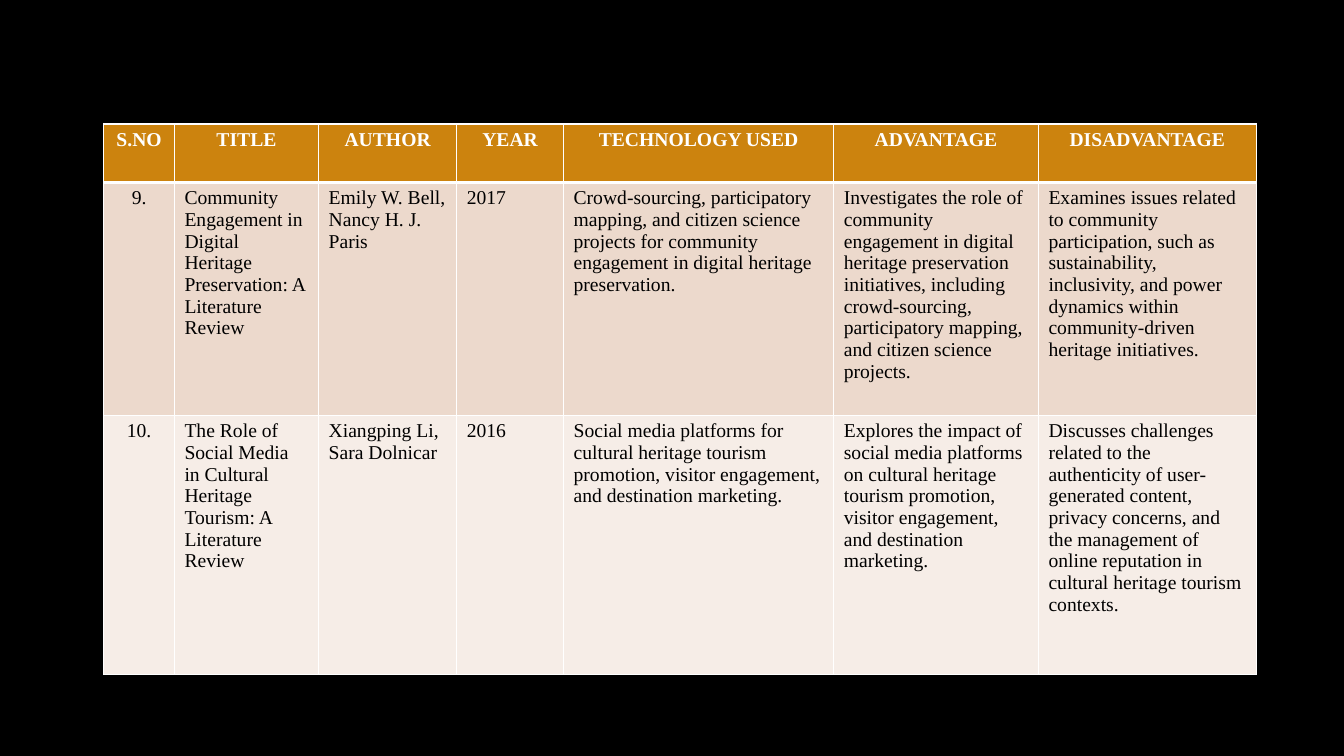
from lxml import etree
from pptx import Presentation
from pptx.dml.color import RGBColor
from pptx.enum.text import PP_ALIGN
from pptx.oxml.ns import qn
from pptx.util import Inches, Pt

CENTER, LEFT = PP_ALIGN.CENTER, PP_ALIGN.LEFT
BLACK = RGBColor(0x00, 0x00, 0x00)
WHITE = RGBColor(0xFF, 0xFF, 0xFF)
FILLS = [
    RGBColor(0xCC, 0x83, 0x0E),
    RGBColor(0xEC, 0xD9, 0xCC),
    RGBColor(0xF6, 0xED, 0xE7),
]
FONT = "Times New Roman"
COLS = [0.7, 1.43, 1.37, 1.06, 2.68, 2.03, 2.16]
ROWS = [0.58, 2.31, 2.57]
PAPERS = [
    ["S.NO", "TITLE", "AUTHOR", "YEAR", "TECHNOLOGY USED", "ADVANTAGE", "DISADVANTAGE"],
    [
        "9.",
        "Community Engagement in Digital Heritage Preservation: A Literature Review",
        "Emily W. Bell, Nancy H. J. Paris",
        "2017",
        "Crowd-sourcing, participatory mapping, and citizen science projects "
        "for community engagement in digital heritage preservation.",
        "Investigates the role of community engagement in digital heritage "
        "preservation initiatives, including crowd-sourcing, participatory "
        "mapping, and citizen science projects.",
        "Examines issues related to community participation, such as "
        "sustainability, inclusivity, and power dynamics within "
        "community-driven heritage initiatives.",
    ],
    [
        "10.",
        "The Role of Social Media in Cultural Heritage Tourism: A Literature Review",
        "Xiangping Li, Sara Dolnicar",
        "2016",
        "Social media platforms for cultural heritage tourism promotion, "
        "visitor engagement, and destination marketing.",
        "Explores the impact of social media platforms on cultural heritage "
        "tourism promotion, visitor engagement, and destination marketing.",
        "Discusses challenges related to the authenticity of user-generated "
        "content, privacy concerns, and the management of online reputation "
        "in cultural heritage tourism contexts.",
    ],
]


def add_edges(cell, row):
    """Draw white cell borders, thick between the header and the body."""
    widths = {"lnL": 1, "lnR": 1, "lnT": 3 if row == 1 else 1, "lnB": 3 if row == 0 else 1}
    props = cell._tc.get_or_add_tcPr()
    for i, (side, width) in enumerate(widths.items()):
        line = etree.Element(qn(f"a:{side}"), w=str(Pt(width)))
        fill = etree.SubElement(line, qn("a:solidFill"))
        etree.SubElement(fill, qn("a:srgbClr"), val=str(WHITE))
        props.insert(i, line)


def fill_cell(cell, text, row, col):
    """Write and style one cell."""
    head = row == 0
    cell.fill.solid()
    cell.fill.fore_color.rgb = FILLS[row]
    add_edges(cell, row)
    para = cell.text_frame.paragraphs[0]
    para.alignment = CENTER if head or col == 0 else LEFT
    run = para.add_run()
    run.text = text
    run.font.name = FONT
    run.font.size = Pt(14)
    run.font.bold = head
    run.font.color.rgb = WHITE if head else BLACK


def add_papers(slide, left, top):
    """Place the literature table with its top left corner at the given point."""
    frame = slide.shapes.add_table(
        len(ROWS), len(COLS), Inches(left), Inches(top),
        Inches(sum(COLS)), Inches(sum(ROWS)),
    )
    table = frame.table
    table.horz_banding = False
    for col, width in zip(table.columns, COLS):
        col.width = Inches(width)
    for r, (height, texts) in enumerate(zip(ROWS, PAPERS)):
        table.rows[r].height = Inches(height)
        for c, text in enumerate(texts):
            fill_cell(table.cell(r, c), text, r, c)


def main():
    """Build the slide and save it."""
    deck = Presentation()
    deck.slide_width, deck.slide_height = Inches(13.33), Inches(7.5)
    slide = deck.slides.add_slide(deck.slide_layouts[6])
    slide.background.fill.solid()
    slide.background.fill.fore_color.rgb = BLACK
    add_papers(slide, 1.03, 1.23)
    deck.save("out.pptx")


if __name__ == "__main__":
    main()
